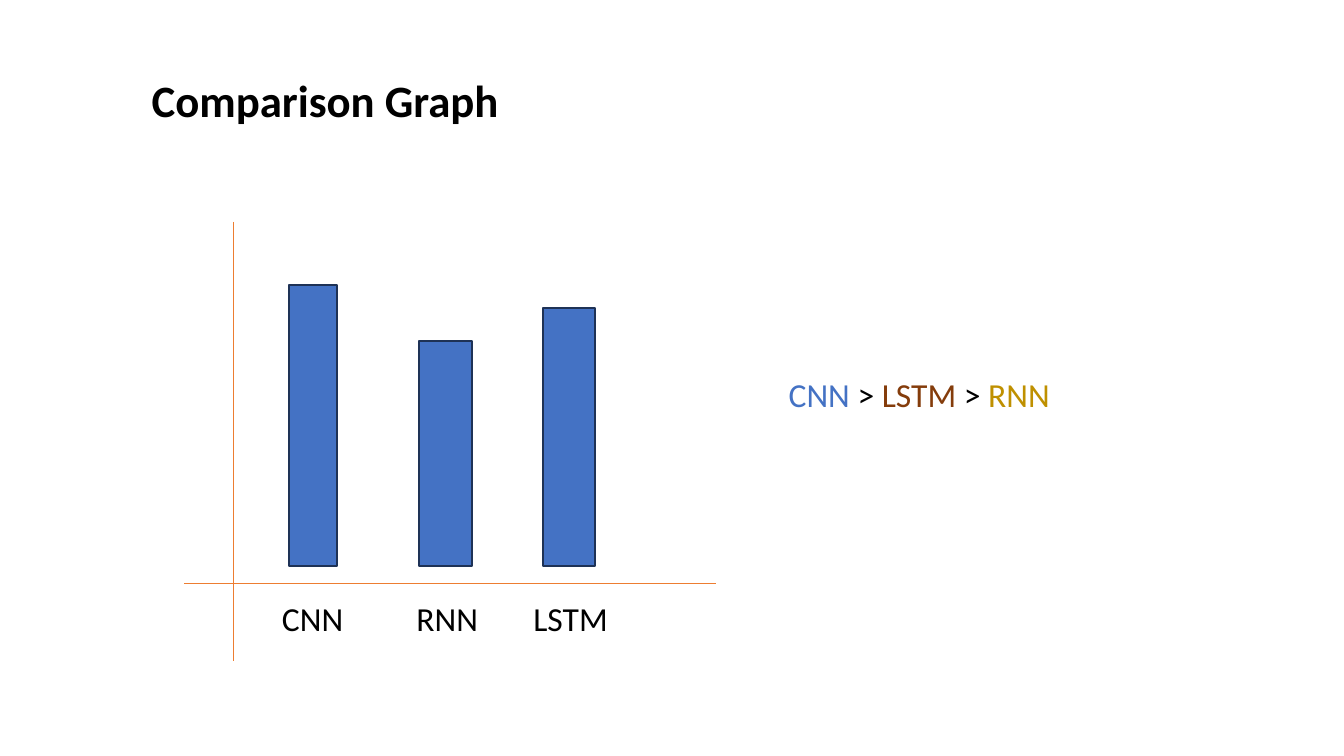
from lxml import etree
from pptx import Presentation
from pptx.dml.color import RGBColor
from pptx.enum.shapes import MSO_CONNECTOR, MSO_SHAPE
from pptx.enum.text import MSO_ANCHOR, MSO_AUTO_SIZE
from pptx.oxml.ns import qn
from pptx.util import Inches, Pt

RECT = MSO_SHAPE.RECTANGLE
LINE = MSO_CONNECTOR.STRAIGHT
TOP = MSO_ANCHOR.TOP
GROW = MSO_AUTO_SIZE.SHAPE_TO_FIT_TEXT

FONT = "Calibri"
BASE = 4.21
COLORS = {
    "black": "000000",
    "blue": "4472C4",
    "edge": "1E3256",
    "axis": "ED7D31",
    "brown": "843C0B",
    "gold": "BF9000",
}


def color(name):
    return RGBColor.from_string(COLORS[name])


def add_text(slide, box, runs, size=18, bold=False):
    shape = slide.shapes.add_textbox(*map(Inches, box))
    frame = shape.text_frame
    frame.vertical_anchor = TOP
    para = frame.paragraphs[0]
    for text, name in runs:
        run = para.add_run()
        run.text = text
        run.font.name = FONT
        run.font.size = Pt(size)
        run.font.bold = bold
        run.font.color.rgb = color(name)
    return frame


def add_title(slide, text):
    box = (1.03, 0.49, 5.14, 1.03)
    frame = add_text(slide, box, [(text, "black")], 24, True)
    frame.word_wrap = True
    frame.margin_top = frame.margin_bottom = Inches(0.1)
    frame.paragraphs[0].line_spacing = 0.9


def add_label(slide, box, runs):
    frame = add_text(slide, box, runs)
    frame.word_wrap = False
    frame.auto_size = GROW


def add_bar(slide, left, top, width):
    box = (left, top, width, BASE - top)
    bar = slide.shapes.add_shape(RECT, *map(Inches, box))
    bar.shadow.inherit = False
    bar.fill.solid()
    bar.fill.fore_color.rgb = color("blue")
    bar.line.color.rgb = color("edge")
    bar.line.width = Pt(1)


def add_axis(slide, *ends):
    axis = slide.shapes.add_connector(LINE, *map(Inches, ends))
    axis.line.color.rgb = color("axis")
    axis.line.width = Pt(0.5)
    etree.SubElement(axis._element.spPr, qn("a:effectLst"))


def main():
    deck = Presentation()
    deck.slide_width = Inches(10)
    deck.slide_height = deck.slide_width * 9 // 16
    slide = deck.slides.add_slide(deck.slide_layouts[6])

    add_title(slide, "Comparison Graph")

    bars = [(2.15, 2.12, 0.36), (3.12, 2.54, 0.39), (4.04, 2.29, 0.39)]
    for bar in bars:
        add_bar(slide, *bar)

    labels = [("CNN", 2, 0.66), ("LSTM", 3.87, 0.76), ("RNN", 3, 0.66)]
    for name, left, width in labels:
        add_label(slide, (left, 4.4, width, 0.4), [(name, "black")])

    add_axis(slide, 1.74, 1.65, 1.74, 4.92)
    add_axis(slide, 1.37, 4.34, 5.33, 4.34)

    ranking = [
        ("CNN", "blue"),
        (" > ", "black"),
        ("LSTM", "brown"),
        (" > ", "black"),
        ("RNN", "gold"),
    ]
    add_label(slide, (5.77, 2.73, 2.17, 0.4), ranking)

    deck.save("out.pptx")


if __name__ == "__main__":
    main()
